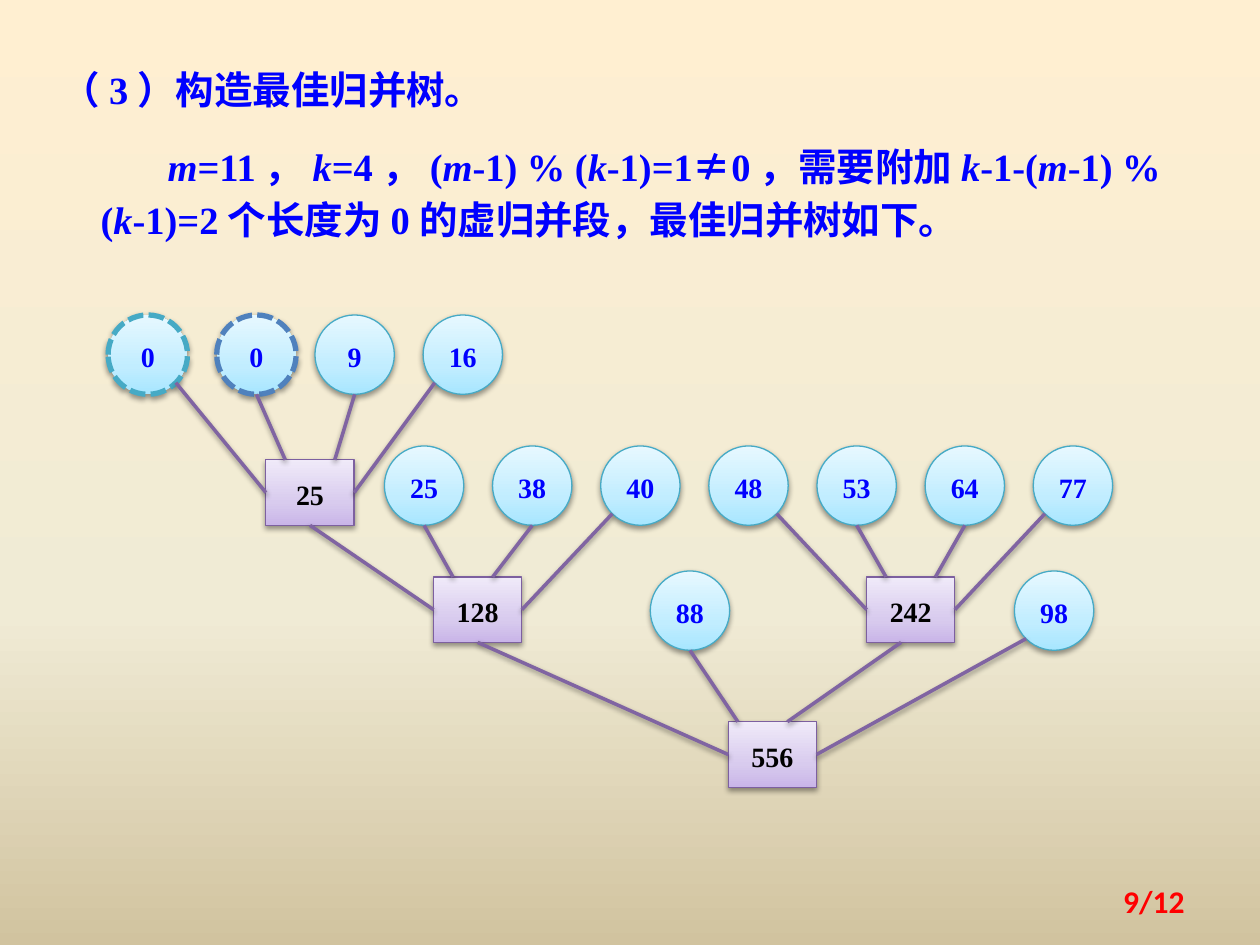
from dataclasses import dataclass
from itertools import groupby

from lxml.etree import SubElement
from pptx import Presentation
from pptx.dml.color import RGBColor
from pptx.enum.dml import MSO_LINE
from pptx.enum.shapes import MSO_CONNECTOR as Connector, MSO_SHAPE as ShapeType
from pptx.enum.text import MSO_ANCHOR as Anchor, MSO_AUTO_SIZE as AutoSize, PP_ALIGN as Align
from pptx.oxml.ns import qn
from pptx.util import Cm, Pt

SERIF, CHINESE = "Times New Roman", "Noto Sans CJK SC"
BLUE, BLACK, RED = "0000FF", "000000", "FF0000"
TEAL, STEEL, PURPLE, VIOLET = "46AAC5", "4F81BD", "7D60A0", "8064A2"
BACKGROUND = ((0, "FFEFD1"), (65, "F0EBD5"), (100, "D1C39F"))
LEAF_FILL = ((0, "A7E6FF"), (35, "C1EDFF"), (100, "E7F8FF"))
MERGE_FILL = ((0, "C9B5E8"), (35, "D8CBEE"), (100, "F0EAF9"))

# Tree measures in centimetres
DIAMETER, PITCH = 1.6, 2.18
BOX_WIDTH, BOX_HEIGHT = 1.78, 1.32
ROW_1, ROW_2, ROW_3 = 6.35, 8.99, 11.51
DIAGONAL = 0.5 ** 0.5


@dataclass
class Leaf:
    """An initial run, drawn as a circle; a dashed one is virtual."""
    label: str
    left: float
    top: float
    color: str = TEAL
    dashed: bool = False

    def outlet(self, slot: int) -> tuple[float, float]:
        """Return the point where the branch to the given parent slot starts."""
        radius = DIAMETER / 2
        side = {0: DIAGONAL, 3: -DIAGONAL}.get(slot, 0)
        drop = DIAGONAL if side else 1
        return self.left + radius * (1 + side), self.top + radius * (1 + drop)


@dataclass
class Merge:
    """A merged run, drawn as a box below its four children."""
    label: str
    left: float
    top: float
    children: list
    inlets: tuple[float, float] = (0.22, 0.78)
    exit: float = 0.5

    def outlet(self, slot: int) -> tuple[float, float]:
        """Return the point on the lower edge where the branch starts."""
        return self.left + BOX_WIDTH * self.exit, self.top + BOX_HEIGHT

    def inlet(self, slot: int) -> tuple[float, float]:
        """Return the point where the branch of a child slot ends."""
        across = (0, *self.inlets, 1)[slot]
        down = 0.5 if slot in (0, 3) else 0
        return self.left + BOX_WIDTH * across, self.top + BOX_HEIGHT * down


def rgb(color: str) -> RGBColor:
    """Turn a hex string into a colour."""
    return RGBColor.from_string(color)


def set_gradient(owner, fill, stops: tuple, angle: int) -> None:
    """Give a fill the stops listed; the angle runs counter-clockwise."""
    fill.gradient()
    fill.gradient_angle = angle
    stop_list = next(owner.iter(qn("a:gsLst")))
    stop_list.clear()
    for position, color in stops:
        stop = SubElement(stop_list, qn("a:gs"), pos=str(position * 1000))
        SubElement(stop, qn("a:srgbClr"), val=color)


def add_shadow(shape) -> None:
    """Add the soft shadow that falls straight down."""
    effects = SubElement(shape.element.spPr, qn("a:effectLst"))
    shadow = SubElement(effects, qn("a:outerShdw"), blurRad="40000", dist="20000",
                        dir="5400000", rotWithShape="0")
    color = SubElement(shadow, qn("a:srgbClr"), val=BLACK)
    SubElement(color, qn("a:alpha"), val="38000")


def format_run(run, size: float, color: str, font: str = SERIF, italic: bool = False) -> None:
    """Set the bold font of a run, with the Chinese font beside it."""
    run.font.size, run.font.bold, run.font.italic = Pt(size), True, italic
    run.font.name = font
    run.font.color.rgb = rgb(color)
    SubElement(run.font._element, qn("a:ea"), typeface=CHINESE)


def add_text(slide, left: float, top: float, width: float, height: float):
    """Add a wrapping text box and return its text frame."""
    frame = slide.shapes.add_textbox(Cm(left), Cm(top), Cm(width), Cm(height)).text_frame
    frame.word_wrap = True
    return frame


def add_statement(slide, text: str, left: float, top: float, width: float, height: float,
                  indent: float = 0) -> None:
    """Add blue text with the variables m and k in italics."""
    frame = add_text(slide, left, top, width, height)
    frame.auto_size = AutoSize.SHAPE_TO_FIT_TEXT
    paragraph = frame.paragraphs[0]
    paragraph.line_spacing = Pt(30)
    if indent:
        paragraph._p.get_or_add_pPr().set("indent", str(Cm(indent)))
    for (italic, symbol), letters in groupby(text, lambda letter: (letter in "mk", letter == "≠")):
        run = paragraph.add_run()
        run.text = "".join(letters)
        format_run(run, 22, BLUE, CHINESE if symbol else SERIF, italic)


def add_node(slide, node: Leaf | Merge) -> None:
    """Draw the circle or box of one node with its label."""
    is_leaf = isinstance(node, Leaf)
    kind = ShapeType.OVAL if is_leaf else ShapeType.RECTANGLE
    width, height = (DIAMETER, DIAMETER) if is_leaf else (BOX_WIDTH, BOX_HEIGHT)
    dashed = is_leaf and node.dashed
    shape = slide.shapes.add_shape(kind, Cm(node.left), Cm(node.top), Cm(width), Cm(height))
    set_gradient(shape.element, shape.fill, LEAF_FILL if is_leaf else MERGE_FILL, 90)
    shape.line.color.rgb = rgb(node.color if is_leaf else PURPLE)
    shape.line.width = Pt(3 if dashed else 0.75)
    if dashed:
        shape.line.dash_style = MSO_LINE.SQUARE_DOT
    add_shadow(shape)
    frame = shape.text_frame
    frame.margin_left = frame.margin_right = 0
    frame.vertical_anchor = Anchor.MIDDLE
    frame.text = node.label
    paragraph = frame.paragraphs[0]
    paragraph.alignment = Align.CENTER
    paragraph.line_spacing, paragraph.space_before = 1.1, Pt(2)
    format_run(paragraph.runs[0], 16, BLUE if is_leaf else BLACK)


def add_tree(slide, node: Leaf | Merge) -> None:
    """Draw a node after its children, then the branches between them."""
    children = [] if isinstance(node, Leaf) else node.children
    for child in children:
        add_tree(slide, child)
    add_node(slide, node)
    for slot, child in enumerate(children):
        points = (*child.outlet(slot), *node.inlet(slot))
        branch = slide.shapes.add_connector(Connector.STRAIGHT, *map(Cm, points))
        branch.line.color.rgb = rgb(VIOLET)
        branch.line.width = Pt(2)
        add_shadow(branch)


def build() -> None:
    """Build and save the slide."""
    presentation = Presentation()
    presentation.slide_width, presentation.slide_height = Cm(25.4), Cm(19.05)
    slide = presentation.slides.add_slide(presentation.slide_layouts[6])
    set_gradient(slide.element, slide.background.fill, BACKGROUND, 270)

    add_statement(slide, "（3）构造最佳归并树。", 0.99, 1.07, 12.7, 1.24)
    add_statement(slide, "m=11，k=4，(m-1) % (k-1)=1≠0，需要附加k-1-(m-1) % (k-1)=2"
                  "个长度为0的虚归并段，最佳归并树如下。", 1.78, 2.64, 22.23, 2.31, 1.35)

    middle = [Leaf(label, 7.75 + PITCH * index, ROW_2)
              for index, label in enumerate(("25", "38", "40", "48", "53", "64", "77"))]
    first = Merge("25", 5.36, 9.27, [
        Leaf("0", 2.18, ROW_1, dashed=True), Leaf("0", 4.37, ROW_1, STEEL, True),
        Leaf("9", 6.35, ROW_1), Leaf("16", 8.53, ROW_1)])
    second = Merge("128", 8.74, 11.63, [first, *middle[:3]], (0.22, 0.67))
    third = Merge("242", 17.47, 11.63, middle[3:], exit=0.39)
    root = Merge("556", 14.68, 14.55, [
        second, Leaf("88", 13.11, ROW_3), third, Leaf("98", 20.45, ROW_3)], (0.11, 0.67))
    add_tree(slide, root)

    frame = add_text(slide, 18.21, 17.65, 5.92, 1.02)
    frame.vertical_anchor = Anchor.MIDDLE
    frame.text = "9/12"
    frame.paragraphs[0].alignment = Align.RIGHT
    format_run(frame.paragraphs[0].runs[0], 18, RED, "Calibri")
    presentation.save("out.pptx")


build()
